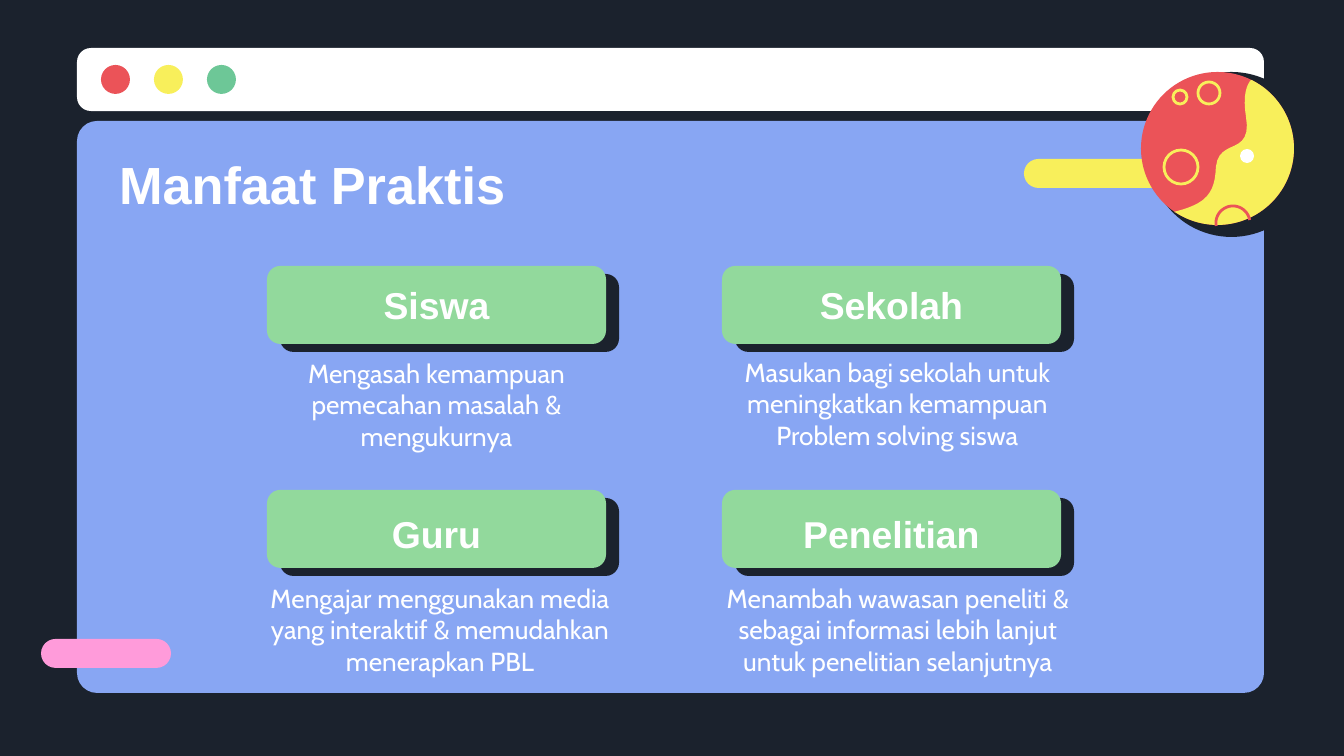
import math
import pptx
import pptx.util
import pptx.dml.color
import pptx.enum.shapes
import pptx.enum.text

PX = 914400 / 134.4
KIND = pptx.enum.shapes.MSO_SHAPE
ALIGN = pptx.enum.text.PP_ALIGN
ANCHOR = pptx.enum.text.MSO_ANCHOR
DARK, WHITE, RED, GOLD = "1B222D", "FFFFFF", "EB5358", "F8EF5B"

hue = pptx.dml.color.RGBColor.from_string
deck = pptx.Presentation()
deck.slide_width, deck.slide_height = round(1344 * PX), round(756 * PX)
slide = deck.slides.add_slide(deck.slide_layouts[6])
slide.background.fill.solid()
slide.background.fill.fore_color.rgb = hue(DARK)


def paint(shape, fill=None, line=None):
    shape.shadow.inherit = False
    if fill:
        shape.fill.solid()
        shape.fill.fore_color.rgb = hue(fill)
    else:
        shape.fill.background()
    if line:
        shape.line.color.rgb = hue(line)
        shape.line.width = pptx.util.Pt(1.5)
    else:
        shape.line.fill.background()


def draw(kind, box, fill=None, line=None, bend=None):
    shape = slide.shapes.add_shape(kind, *[round(v * PX) for v in box])
    if bend is not None:
        shape.adjustments[0] = bend
    paint(shape, fill, line)


# Window: body, title bar, three buttons, two pills
draw(KIND.ROUNDED_RECTANGLE, (77, 121, 1187, 572), "88A6F3", bend=0.035)
draw(KIND.ROUNDED_RECTANGLE, (77, 48, 1187, 63), WHITE, bend=0.22)
for i, tint in enumerate([RED, GOLD, "6DC797"]):
    draw(KIND.OVAL, (101 + 53 * i, 65, 29, 29), tint)
draw(KIND.ROUNDED_RECTANGLE, (1024, 159, 145, 29), GOLD, bend=0.5)

# Planet: shade, red disc, yellow side bounded by a wave and the rim
draw(KIND.OVAL, (1149, 72, 165, 165), DARK)
draw(KIND.OVAL, (1141, 72, 153, 153), RED)
wave = [(1174, 212), (1206, 204), (1215, 194), (1216, 167), (1219, 137),
        (1253, 157), (1246, 116), (1243, 97), (1246, 86), (1251, 80)]
side = []
for k in (0, 3, 6):
    for step in range(13):
        t = step / 12
        mix = [(1 - t) ** 3, 3 * t * (1 - t) ** 2, 3 * t * t * (1 - t), t ** 3]
        side.append([sum(m * p[d] for m, p in zip(mix, wave[k:k + 4]))
                     for d in (0, 1)])
for deg in range(-63, 125, 3):
    a = math.radians(deg)
    side.append([1217.5 + 76.5 * math.cos(a), 148.5 + 76.5 * math.sin(a)])

# Crater cut off by the lower rim
rim = []
for deg in range(170, 351, 5):
    a = math.radians(deg)
    rim.append([1233 + 17 * math.cos(a), 223 + 17 * math.sin(a)])

for dots, fill, line in [(side, GOLD, None), (rim, None, RED)]:
    dots = [(x * PX, y * PX) for x, y in dots]
    form = slide.shapes.build_freeform(*dots[0])
    form.add_line_segments(dots[1:], close=bool(fill))
    paint(form.convert_to_shape(), fill, line)

# Whole craters and the white spot
for x, y, r in [(1209, 93, 11), (1180, 97, 7), (1181, 167, 17)]:
    draw(KIND.OVAL, (x - r, y - r, 2 * r, 2 * r), line=GOLD)
draw(KIND.OVAL, (1240, 149, 14, 14), WHITE)

draw(KIND.ROUNDED_RECTANGLE, (41, 639, 130, 29), "FF9BDA", bend=0.5)

# Cards: left, top, heading, heading top, body box, body text
cards = [
    (267, 266, "Siswa", 266, (267, 344, 339, 83),
     "Mengasah kemampuan pemecahan masalah & mengukurnya"),
    (722, 266, "Sekolah", 266, (728, 343, 339, 83),
     "Masukan bagi sekolah untuk meningkatkan kemampuan Problem solving siswa"),
    (267, 490, "Guru", 495, (245, 569, 390, 83),
     "Mengajar menggunakan media yang interaktif & memudahkan menerapkan PBL"),
    (722, 490, "Penelitian", 495, (708, 569, 380, 83),
     "Menambah wawasan peneliti & sebagai informasi lebih lanjut "
     "untuk penelitian selanjutnya"),
]
head = {"name": "Arial", "bold": True}
body = {"name": "Cabin", "bold": False, "size": pptx.util.Pt(14)}
title = head | {"size": pptx.util.Pt(28)}
label = head | {"size": pptx.util.Pt(20)}
texts = [((106, 142, 566, 83), "Manfaat Praktis", title, ALIGN.LEFT, ANCHOR.MIDDLE)]
for x, y, name, top, box, note in cards:
    for shift, drop, tint in [(13, 8, DARK), (0, 0, "92D99C")]:
        draw(KIND.ROUNDED_RECTANGLE, (x + shift, y + drop, 339, 78), tint, bend=0.17)
    texts.append(((x + 51, top, 237, 78), name, label, ALIGN.CENTER, ANCHOR.MIDDLE))
    texts.append((box, note, body, ALIGN.CENTER, ANCHOR.TOP))

# Text
for box, words, style, align, anchor in texts:
    frame = slide.shapes.add_textbox(*[round(v * PX) for v in box]).text_frame
    inset = pptx.util.Inches(0.1)
    look = {"word_wrap": True, "vertical_anchor": anchor, "margin_left": inset,
            "margin_right": inset, "margin_top": inset, "margin_bottom": inset}
    for key, value in look.items():
        setattr(frame, key, value)
    para = frame.paragraphs[0]
    para.alignment = align
    run = para.add_run()
    run.text = words
    for key, value in style.items():
        setattr(run.font, key, value)
    run.font.color.rgb = hue(WHITE)

deck.save("out.pptx")
